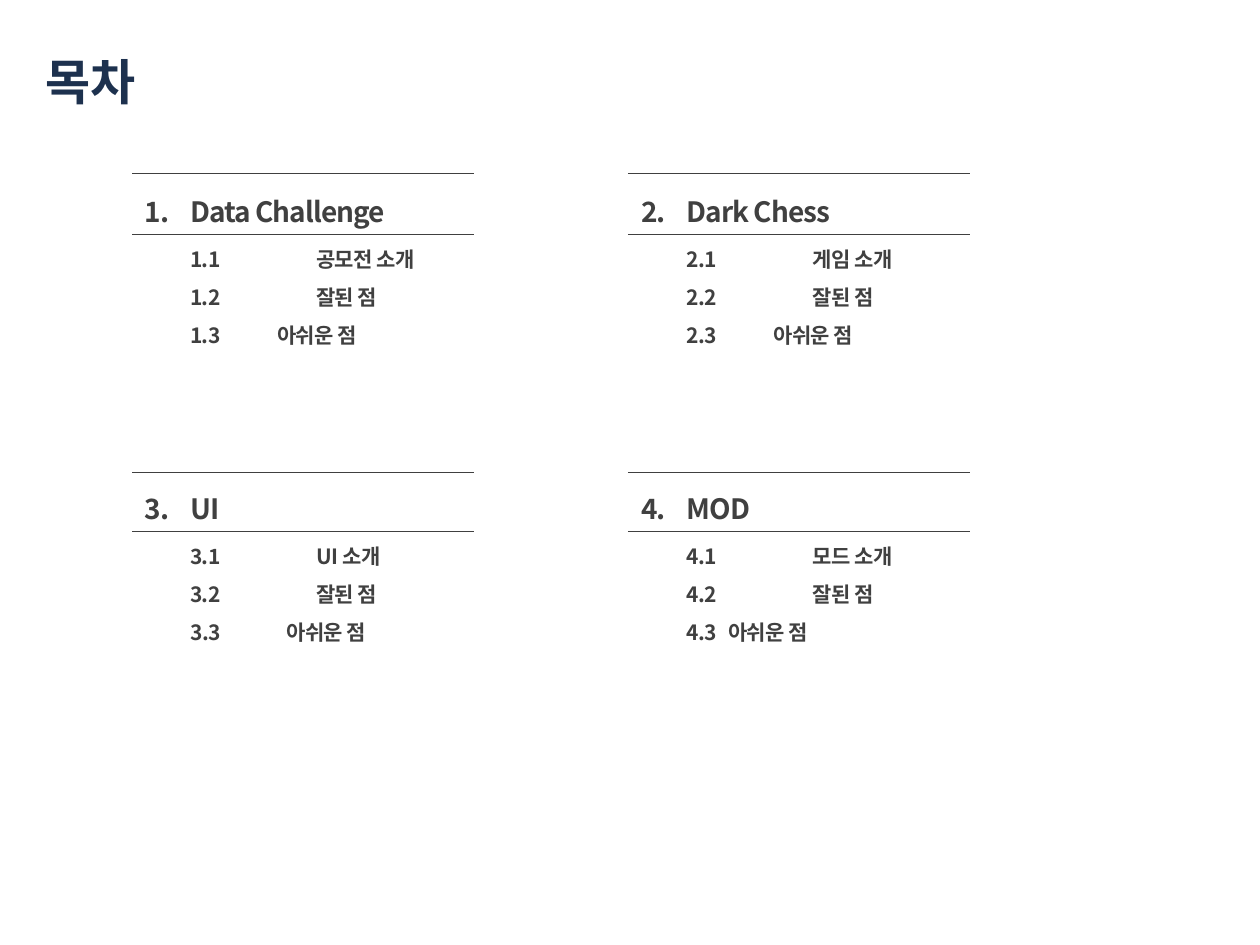
import pptx
import pptx.dml.color
import pptx.enum.shapes
import pptx.enum.text
import pptx.oxml.ns
import pptx.util
from lxml import etree

Pt = pptx.util.Pt
qn = pptx.oxml.ns.qn
FONT = "Noto Sans CJK KR"
COLORS = {"title": "1D314E", "text": "404040"}


def add_run(para, text, size, color):
    run = para.add_run()
    run.text = text
    run.font.size = Pt(size)
    run.font.bold = True
    run.font.color.rgb = pptx.dml.color.RGBColor.from_string(COLORS[color])
    run.font.name = FONT
    props = run.font._element
    etree.SubElement(props, qn("a:ea"), typeface=FONT)
    return props


def hang(para, start, label):
    """Begin the number at start and let its tab reach label."""
    props = para._p.get_or_add_pPr()
    props.set("marL", str(Pt(label)))
    props.set("indent", str(Pt(start - label)))


deck = pptx.Presentation()
deck.slide_width, deck.slide_height = Pt(720), Pt(540)
slide = deck.slides.add_slide(deck.slide_layouts[6])
shapes = slide.shapes

title = shapes.add_textbox(Pt(18.7), Pt(10.8), Pt(673), Pt(71.3)).text_frame
title.word_wrap = True
title.vertical_anchor = pptx.enum.text.MSO_ANCHOR.MIDDLE
add_run(title.paragraphs[0], "목차", 28, "title")

# Heading, label of the first item, label position of the last item
parts = [
    ("Data Challenge", "공모전 소개", 75.6),
    ("Dark Chess", "게임 소개", 75.6),
    ("UI", "UI 소개", 81),
    ("MOD", "모드 소개", 49.7),
]
INDENT = 26
LABEL = 98
TOPS = (93.2, 262.8)
RULES = ((99.2, 133.8), (269.6, 303.4))

for i, (head, intro, last) in enumerate(parts):
    row, col = divmod(i, 2)
    left = 75.6 + 283.7 * col
    frame = shapes.add_textbox(
        Pt(left), Pt(TOPS[row]), Pt(214), Pt(150)).text_frame
    frame.word_wrap = True

    n = i + 1
    lines = [
        (f"{n}.\t{head}", 16, 1.75, 0, INDENT, -50),
        (f"{n}.1\t{intro}", 12, 1.75, INDENT, LABEL, -30),
        (f"{n}.2\t잘된 점", 12, 1.5, INDENT, LABEL, -30),
        (f"{n}.3\t아쉬운 점", 12, 1.5, INDENT, last, -30),
    ]
    for j, (text, size, space, start, label, track) in enumerate(lines):
        para = frame.add_paragraph() if j else frame.paragraphs[0]
        hang(para, start, label)
        para.line_spacing = space
        add_run(para, text, size, "text").set("spc", str(track))

    edge = 75.6 + 283.2 * col
    for y in RULES[row]:
        rule = shapes.add_connector(
            pptx.enum.shapes.MSO_CONNECTOR.STRAIGHT,
            Pt(edge), Pt(y), Pt(edge + 195.4), Pt(y))
        rule.line.width = Pt(0.25)
        rule.line.color.rgb = pptx.dml.color.RGBColor.from_string(COLORS["text"])
        etree.SubElement(rule._element.spPr, qn("a:effectLst"))

deck.save("out.pptx")
